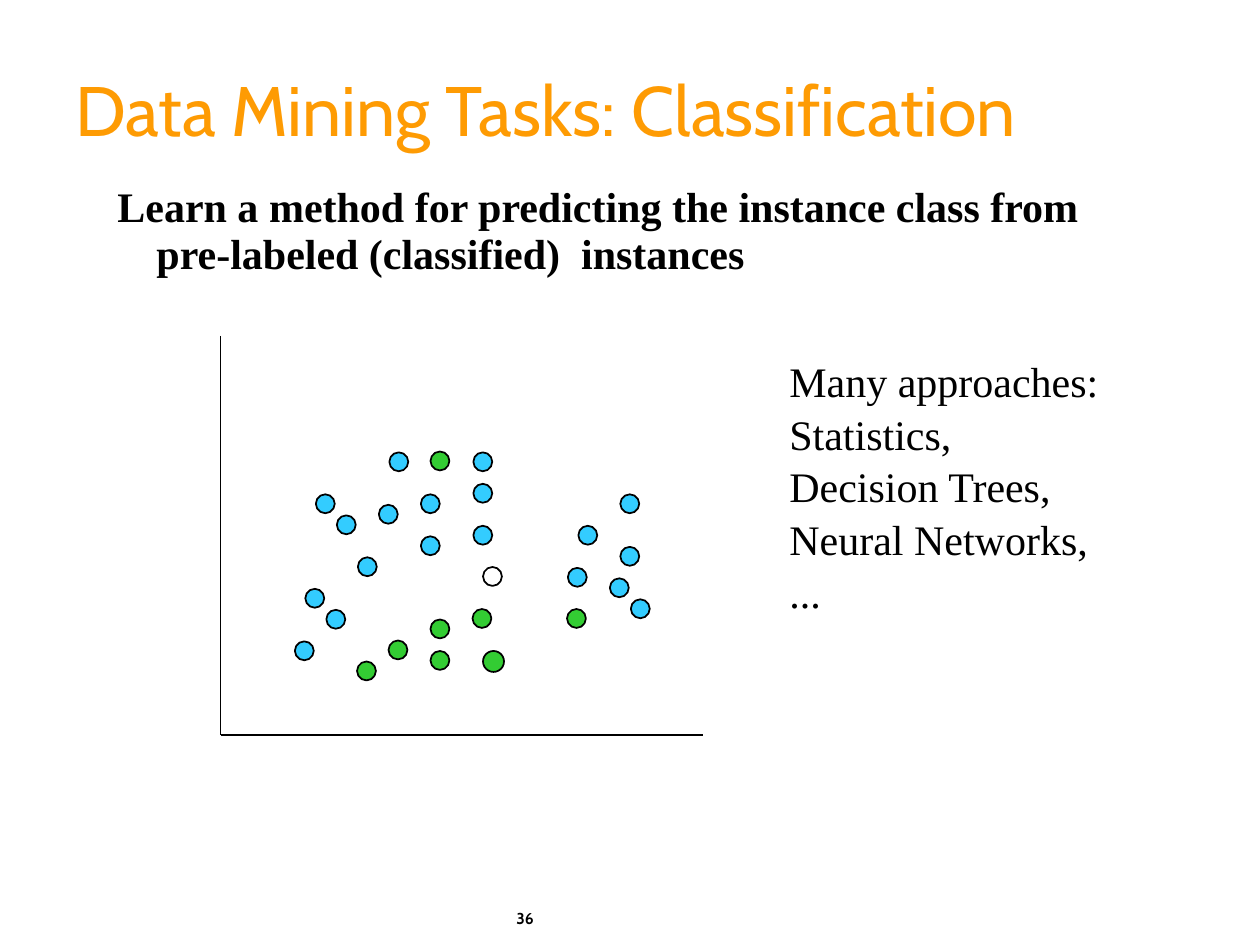
import pptx
import pptx.util
import pptx.dml.color
import pptx.enum.shapes
import pptx.enum.text
import lxml.etree

RGBColor = pptx.dml.color.RGBColor
ORANGE = RGBColor(0xFE, 0x9B, 0x03)
BLACK = RGBColor(0, 0, 0)
BLUE = RGBColor(0x33, 0xCC, 0xFF)
GREEN = RGBColor(0x33, 0xCC, 0x33)
WHITE = RGBColor(0xFF, 0xFF, 0xFF)
SERIF = "Times New Roman"
SANS = "Cabin"

prs = pptx.Presentation()
prs.slide_width = pptx.util.Inches(10)
prs.slide_height = pptx.util.Inches(7.5)
s = prs.slides.add_slide(prs.slide_layouts[6])


def grid(n):
    return int(prs.slide_width * n / 120)


def add_text(col, row, cols, rows, lines, font, size, color, bold=False, spacing=1.0):
    sp = s.shapes.add_textbox(grid(col), grid(row), grid(cols), grid(rows))
    tf = sp.text_frame
    tf.word_wrap = True
    tf.text = "\n".join(lines)
    for p in tf.paragraphs:
        p.line_spacing = spacing
        p.font.name = font
        p.font.size = pptx.util.Pt(size)
        p.font.bold = bold
        p.font.color.rgb = color
    return tf


tf = add_text(6, 3, 109, 12, ["Data Mining Tasks: Classification"], SANS, 40, ORANGE, spacing=0.85)
tf.vertical_anchor = pptx.enum.text.MSO_ANCHOR.BOTTOM

for x1, y1, x2, y2 in [(21, 32, 21, 70), (21, 70, 67, 70)]:
    axis = s.shapes.add_connector(pptx.enum.shapes.MSO_CONNECTOR.STRAIGHT,
                                  grid(x1), grid(y1), grid(x2), grid(y2))
    axis.line.color.rgb = BLACK
    axis.line.width = pptx.util.Pt(1)
    lxml.etree.SubElement(axis._element.spPr, pptx.oxml.ns.qn("a:effectLst"))

tf = add_text(10, 17, 94, 9.8,
              ["Learn a method for predicting the instance class from pre-labeled (classified)  instances"],
              SERIF, 24, BLACK, bold=True, spacing=0.93)
pPr = tf.paragraphs[0]._p.get_or_add_pPr()
pPr.set("marL", str(pptx.util.Inches(0.31)))
pPr.set("indent", str(pptx.util.Inches(-0.31)))

add_text(74, 33, 38, 25.2,
         ["Many approaches: Statistics,", "Decision Trees, Neural Networks,", "..."],
         SERIF, 24, BLACK, spacing=1.05)

blue_dots = [(30, 47), (32, 49), (36, 48), (40, 47), (29, 56), (45, 43), (34, 53),
             (40, 51), (45, 50), (31, 58), (28, 61), (37, 43), (45, 46), (59, 47),
             (55, 50), (54, 54), (58, 55), (60, 57), (59, 52)]
green_dots = [(34, 63), (37, 61), (41, 62), (41, 59), (45, 58), (41, 43), (54, 58)]
groups = [(BLUE, 0.08, 1.8, blue_dots), (GREEN, 0, 1.8, green_dots),
          (GREEN, 0, 2, [(46, 62)]), (WHITE, 0, 1.8, [(46, 54)])]
for color, shift, size, dots in groups:
    for col, row in dots:
        sp = s.shapes.add_shape(pptx.enum.shapes.MSO_SHAPE.OVAL, grid(col + shift),
                                grid(row + shift), grid(size), grid(size))
        sp.shadow.inherit = False
        sp.fill.solid()
        sp.fill.fore_color.rgb = color
        sp.line.color.rgb = BLACK
        sp.line.width = pptx.util.Pt(1)

add_text(48, 86, 12.2, 4, ["36"], SANS, 9, BLACK, bold=True)

prs.save("out.pptx")
